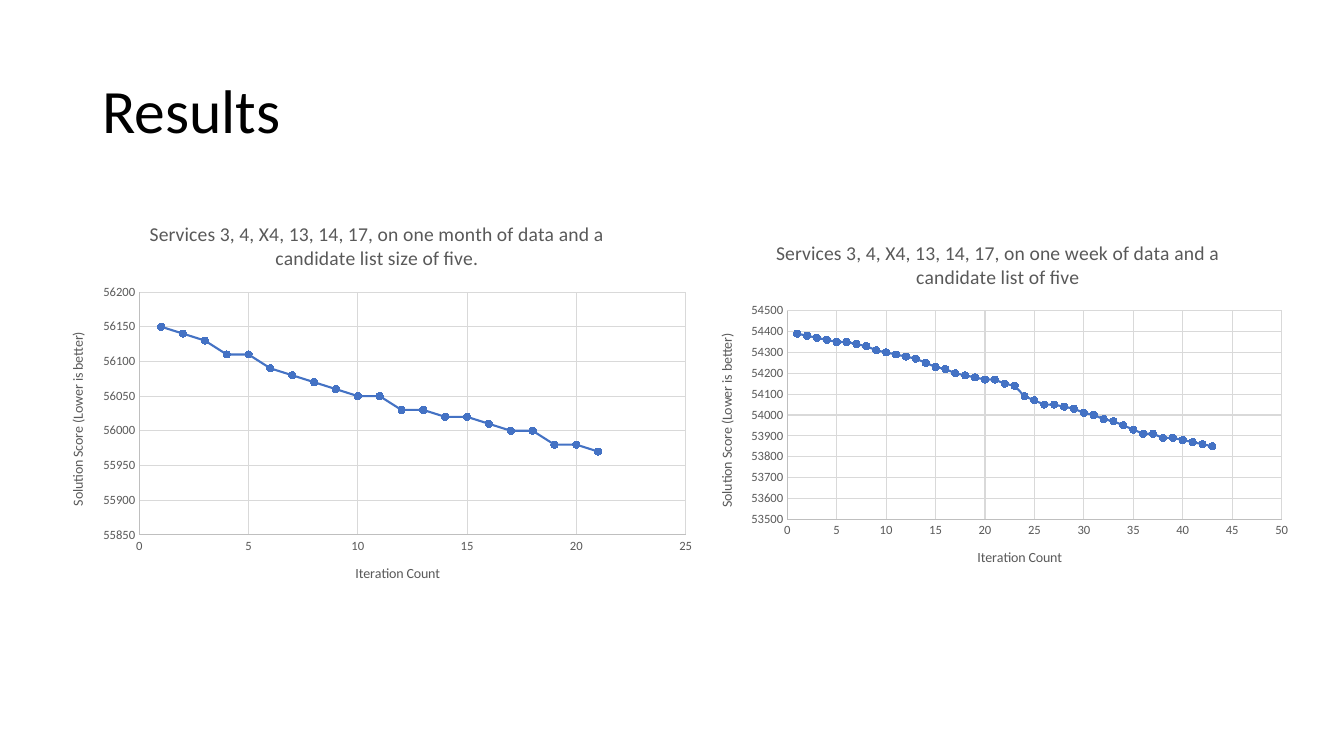
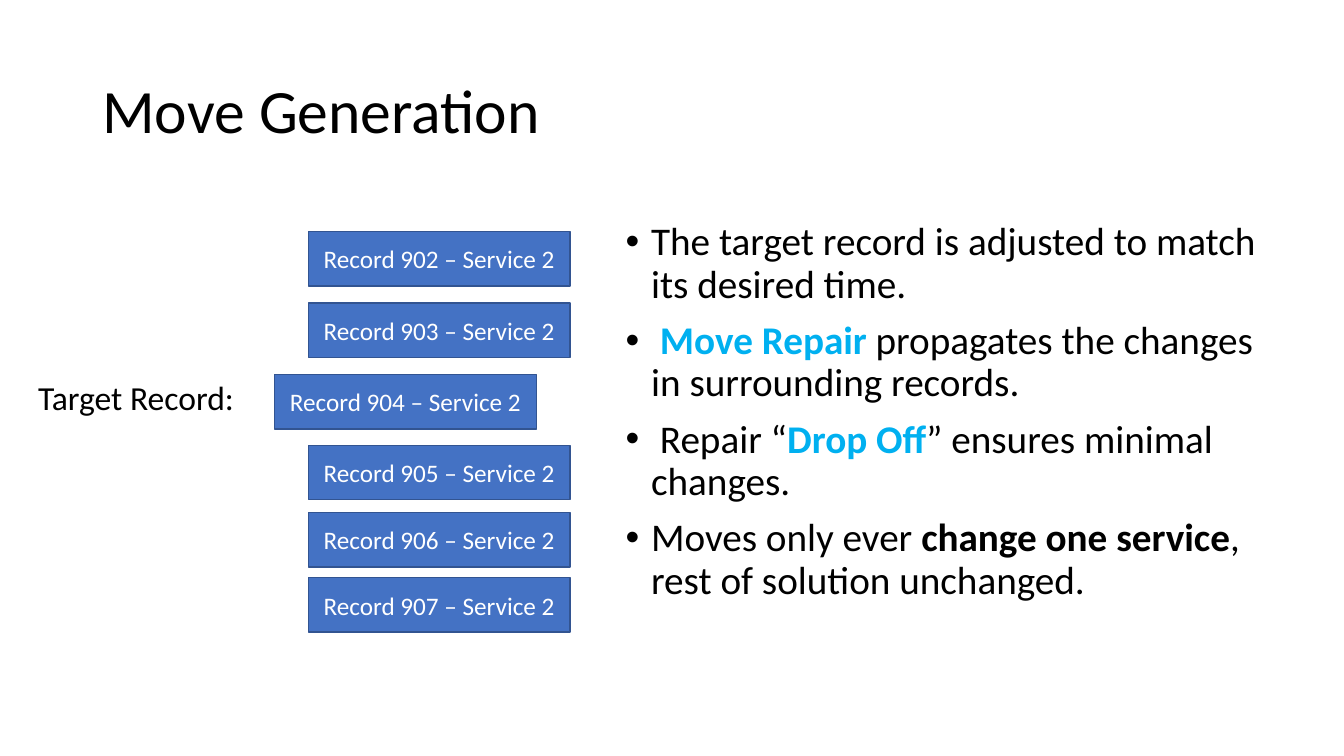
from dataclasses import dataclass
from typing import Any

from lxml.etree import Element, SubElement
from pptx import Presentation
from pptx.chart.data import XyChartData
from pptx.dml.color import RGBColor
from pptx.enum.chart import XL_CHART_TYPE, XL_MARKER_STYLE, XL_TICK_MARK
from pptx.enum.shapes import MSO_SHAPE
from pptx.enum.text import MSO_ANCHOR, PP_ALIGN
from pptx.oxml.ns import qn
from pptx.util import Cm, Pt

FONT = "Calibri"
BLACK = RGBColor(0x00, 0x00, 0x00)
WHITE = RGBColor(0xFF, 0xFF, 0xFF)
BLUE = RGBColor(0x44, 0x72, 0xC4)
DARK_BLUE = RGBColor(0x32, 0x54, 0x91)
SKY = RGBColor(0x00, 0xB0, 0xF0)
GREY = RGBColor(0x59, 0x59, 0x59)
AXIS_GREY = RGBColor(0xBF, 0xBF, 0xBF)
GRID_GREY = RGBColor(0xD9, 0xD9, 0xD9)


@dataclass(frozen=True)
class Box:
    """Position and size in centimetres."""
    left: float
    top: float
    width: float
    height: float

    def emu(self) -> tuple[Cm, Cm, Cm, Cm]:
        """Return the four lengths for python-pptx."""
        return Cm(self.left), Cm(self.top), Cm(self.width), Cm(self.height)


@dataclass(frozen=True)
class Run:
    """A piece of text with its emphasis."""
    text: str
    color: RGBColor = BLACK
    bold: bool = False


@dataclass(frozen=True)
class AxisScale:
    """Range and step of an axis."""
    low: float
    high: float
    step: float


@dataclass(frozen=True)
class ScoreChart:
    """Solution scores by iteration, counted from one."""
    title: str
    box: Box
    plot_box: Box
    x_scale: AxisScale
    y_scale: AxisScale
    scores: tuple[int, ...]


@dataclass(frozen=True)
class Record:
    """A timetable record box."""
    number: int
    top: float
    left: float = 7.77


TITLE_BOX = Box(2.33, 1.01, 29.21, 3.68)
BODY_BOX = Box(15.52, 5.47, 17.09, 10.41)
TARGET_BOX = Box(0.71, 9.37, 7.24, 1.27)
RECORD_WIDTH, RECORD_HEIGHT = 6.6, 1.37

CHARTS = (
    ScoreChart(
        "Services 3, 4, X4, 13, 14, 17, on one month of data and a "
        "candidate list size of five.",
        Box(1.22, 5.13, 16.56, 10.11), Box(3.51, 7.36, 13.77, 6.12),
        AxisScale(0, 25, 5), AxisScale(55850, 56200, 50),
        (56150, 56140, 56130, 56110, 56110, 56090, 56080, 56070, 56060,
         56050, 56050, 56030, 56030, 56020, 56020, 56010, 56000, 56000,
         55980, 55980, 55970)),
    ScoreChart(
        "Services 3, 4, X4, 13, 14, 17, on one week of data and a "
        "candidate list of five",
        Box(17.53, 5.63, 15.24, 9.14), Box(19.84, 7.83, 12.46, 5.26),
        AxisScale(0, 50, 5), AxisScale(53500, 54500, 100),
        (54390, 54380, 54370, 54360, 54350, 54350, 54340, 54330, 54310,
         54300, 54290, 54280, 54270, 54250, 54230, 54220, 54200, 54190,
         54180, 54170, 54170, 54150, 54140, 54090, 54070, 54050, 54050,
         54040, 54030, 54010, 54000, 53980, 53970, 53950, 53930, 53910,
         53910, 53890, 53890, 53880, 53870, 53860, 53850)),
)

RECORDS = (
    Record(902, 5.84), Record(903, 7.64), Record(904, 9.44, left=6.92),
    Record(905, 11.22), Record(906, 12.92), Record(907, 14.56),
)

BULLETS = (
    (Run("The target record is adjusted to match its desired time."),),
    (Run(" ", bold=True), Run("Move Repair ", SKY, True),
     Run("propagates the changes in surrounding records.")),
    (Run(" Repair “"), Run("Drop Off", SKY, True),
     Run("” ensures minimal changes.")),
    (Run("Moves only ever "), Run("change one service", bold=True),
     Run(", rest of solution unchanged.")),
)


def set_font(font: Any, size: float, color: RGBColor, bold: bool = False) -> None:
    """Set the shared typeface with a size and colour."""
    font.name, font.size, font.bold = FONT, Pt(size), bold
    font.color.rgb = color


def write(tf: Any, paragraphs: tuple[tuple[Run, ...], ...], *, size: float,
          align: PP_ALIGN = PP_ALIGN.LEFT, anchor: MSO_ANCHOR = MSO_ANCHOR.TOP,
          line_spacing: float = 1.0, space_before: float = 0,
          bullet: bool = False) -> None:
    """Fill a text frame with formatted paragraphs."""
    tf.word_wrap, tf.vertical_anchor = True, anchor
    for i, runs in enumerate(paragraphs):
        p = tf.add_paragraph() if i else tf.paragraphs[0]
        p.alignment, p.line_spacing = align, line_spacing
        p.space_before = Pt(space_before)
        if bullet:
            add_bullet(p)
        for run in runs:
            r = p.add_run()
            r.text = run.text
            set_font(r.font, size, run.color, run.bold)


def add_bullet(p: Any) -> None:
    """Give a paragraph a hanging round bullet."""
    props = p._p.get_or_add_pPr()
    props.set("marL", str(Cm(0.64)))
    props.set("indent", str(-Cm(0.64)))
    SubElement(props, qn("a:buFont")).set("typeface", "Arial")
    SubElement(props, qn("a:buChar")).set("char", "•")


def add_text(s: Any, box: Box, *paragraphs: tuple[Run, ...], **fmt: Any) -> None:
    """Add a text box."""
    write(s.shapes.add_textbox(*box.emu()).text_frame, paragraphs, **fmt)


def add_titled_slide(prs: Any, title: str) -> Any:
    """Add a blank slide with the shared title style."""
    s = prs.slides.add_slide(prs.slide_layouts[6])
    add_text(s, TITLE_BOX, (Run(title),), size=44, line_spacing=0.9,
             anchor=MSO_ANCHOR.MIDDLE)
    return s


def set_caption(owner: Any, text: str, size: float) -> None:
    """Title a chart or an axis."""
    owner.has_title = True
    title = owner.chart_title if hasattr(owner, "chart_title") else owner.axis_title
    r = title.text_frame.paragraphs[0].add_run()
    r.text = text
    set_font(r.font, size, GREY)


def style_axis(axis: Any, title: str, scale: AxisScale) -> None:
    """Apply scale, lines, labels and title to an axis."""
    axis.minimum_scale, axis.maximum_scale = scale.low, scale.high
    axis.major_unit = scale.step
    axis.has_major_gridlines = True
    axis.major_tick_mark = axis.minor_tick_mark = XL_TICK_MARK.NONE
    for line, color in ((axis.format.line, AXIS_GREY),
                        (axis.major_gridlines.format.line, GRID_GREY)):
        line.color.rgb, line.width = color, Pt(0.75)
    set_font(axis.tick_labels.font, 9, GREY)
    set_caption(axis, title, 10)


def place_plot(chart: Any, frame: Box, plot: Box) -> None:
    """Fix the inner plot area, given in slide centimetres."""
    area = chart._chartSpace.find(".//" + qn("c:plotArea"))
    for old in area.findall(qn("c:layout")):
        area.remove(old)
    layout = Element(qn("c:layout"))
    area.insert(0, layout)
    manual = SubElement(layout, qn("c:manualLayout"))
    settings = {
        "layoutTarget": "inner", "xMode": "edge", "yMode": "edge",
        "x": (plot.left - frame.left) / frame.width,
        "y": (plot.top - frame.top) / frame.height,
        "w": plot.width / frame.width, "h": plot.height / frame.height,
    }
    for tag, value in settings.items():
        SubElement(manual, qn(f"c:{tag}")).set("val", str(value))


def add_score_chart(s: Any, score_chart: ScoreChart) -> None:
    """Draw solution scores as a scatter chart with lines."""
    data = XyChartData()
    points = data.add_series("Series 1")
    for iteration, score in enumerate(score_chart.scores, start=1):
        points.add_data_point(iteration, score)
    chart = s.shapes.add_chart(XL_CHART_TYPE.XY_SCATTER_LINES,
                               *score_chart.box.emu(), data).chart
    set_font(chart.font, 10, BLACK)
    chart.has_legend = False
    set_caption(chart, score_chart.title, 14)
    style_axis(chart.category_axis, "Iteration Count", score_chart.x_scale)
    style_axis(chart.value_axis, "Solution Score (Lower is better)",
               score_chart.y_scale)
    place_plot(chart, score_chart.box, score_chart.plot_box)
    plot = chart.plots[0]
    plot.vary_by_categories = False
    series = plot.series[0]
    series.smooth = False
    series.format.line.color.rgb, series.format.line.width = BLUE, Pt(1.5)
    marker = series.marker
    marker.style, marker.size = XL_MARKER_STYLE.CIRCLE, 5
    marker.format.fill.solid()
    marker.format.fill.fore_color.rgb = BLUE
    marker.format.line.color.rgb = BLUE


def add_record(s: Any, record: Record) -> None:
    """Draw one record box."""
    box = Box(record.left, record.top, RECORD_WIDTH, RECORD_HEIGHT)
    sp = s.shapes.add_shape(MSO_SHAPE.RECTANGLE, *box.emu())
    sp.shadow.inherit = False
    sp.fill.solid()
    sp.fill.fore_color.rgb = BLUE
    sp.line.color.rgb, sp.line.width = DARK_BLUE, Pt(1)
    write(sp.text_frame, ((Run(f"Record {record.number} – Service 2", WHITE),),),
          size=18, align=PP_ALIGN.CENTER, anchor=MSO_ANCHOR.MIDDLE)


def build_results(prs: Any) -> None:
    """Build the results slide."""
    s = add_titled_slide(prs, "Results")
    for score_chart in CHARTS:
        add_score_chart(s, score_chart)


def build_move_generation(prs: Any) -> None:
    """Build the move generation slide."""
    s = add_titled_slide(prs, "Move Generation")
    add_text(s, BODY_BOX, *BULLETS, size=28, line_spacing=0.9,
             space_before=10, bullet=True)
    add_text(s, TARGET_BOX, (Run("Target Record:"),), size=24)
    for record in RECORDS:
        add_record(s, record)


def main() -> None:
    """Build and save the presentation."""
    prs = Presentation()
    prs.slide_width, prs.slide_height = Cm(33.87), Cm(19.05)
    build_results(prs)
    build_move_generation(prs)
    prs.save("out.pptx")


main()
